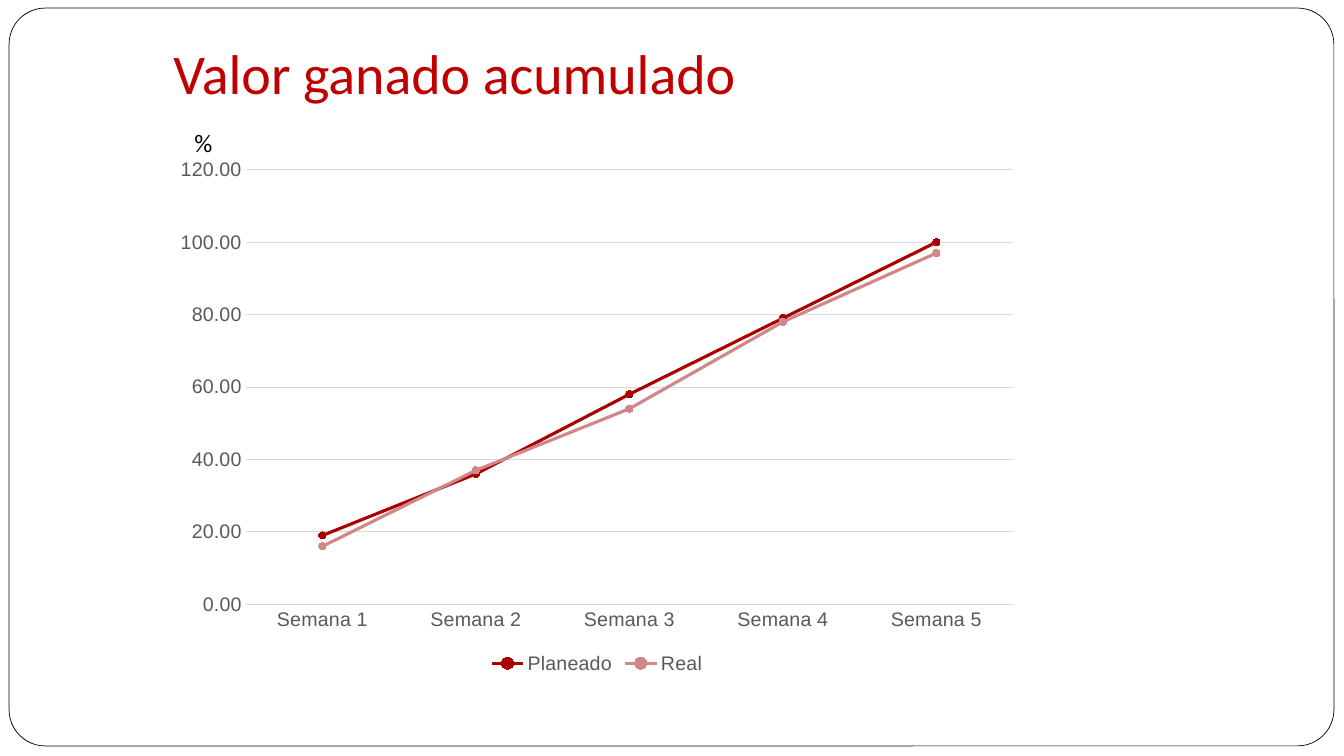
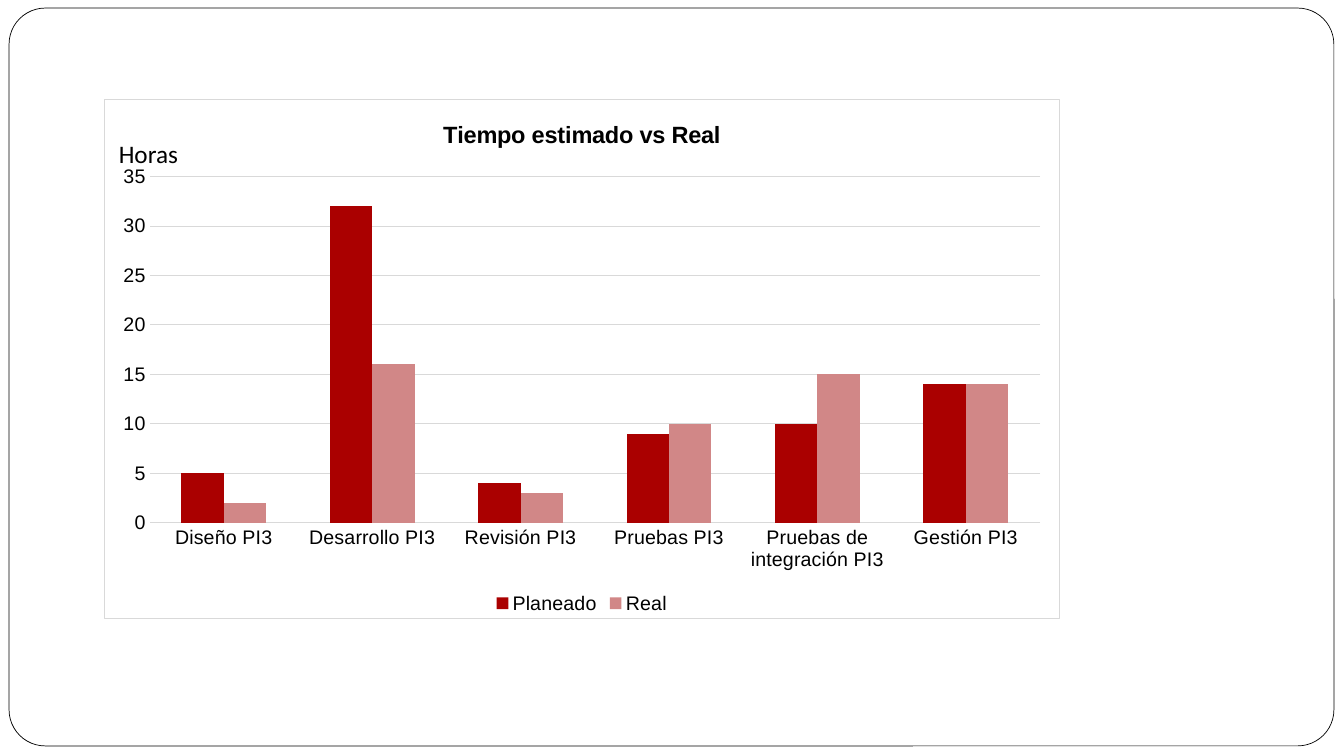
"""Build two slides comparing planned and real project figures."""
from lxml import etree
from pptx import Presentation
from pptx.chart.data import CategoryChartData
from pptx.dml.color import RGBColor
from pptx.enum.chart import XL_CHART_TYPE as ChartType, XL_LEGEND_POSITION as LegendPosition
from pptx.enum.chart import XL_MARKER_STYLE as MarkerStyle, XL_TICK_MARK as TickMark
from pptx.enum.shapes import MSO_SHAPE as Shape
from pptx.enum.text import MSO_ANCHOR as Anchor, MSO_AUTO_SIZE as AutoSize
from pptx.util import Inches, Pt

WIDTH, HEIGHT = 13.33, 7.5
BLACK, WHITE, GRAY, GRID, RED = "000000", "FFFFFF", "595959", "D9D9D9", "C00000"
SERIES_COLORS = {"Planeado": "AA0000", "Real": "D18787"}
CHART_SIZE = 14

SLIDES = [
    {
        "heading": "Valor ganado acumulado",
        "unit": ("%", (1.83, 1.21, 0.39, 0.4)),
        "type": ChartType.LINE_MARKERS,
        "box": (1.62, 1.47, 8.6, 5.26),
        "color": GRAY,
        "format": "0.00",
        "scale": (120, 20),
        "axis_line": GRID,
        "categories": [f"Semana {week}" for week in range(1, 6)],
        "series": {"Planeado": (19, 36, 58, 79, 100), "Real": (16, 37, 54, 78, 97)},
    },
    {
        "title": "Tiempo estimado vs Real",
        "unit": ("Horas", (1.08, 1.32, 0.79, 0.4)),
        "type": ChartType.COLUMN_CLUSTERED,
        "box": (1.03, 0.98, 9.48, 5.16),
        "color": BLACK,
        "format": "General",
        "scale": (35, 5),
        "border": GRID,
        "categories": ["Diseño PI3", "Desarrollo PI3", "Revisión PI3", "Pruebas PI3",
                       "Pruebas de integración PI3", "Gestión PI3"],
        "series": {"Planeado": (5, 32, 4, 9, 10, 14), "Real": (2, 16, 3, 10, 15, 14)},
    },
]


def rgb(color):
    return RGBColor.from_string(color)


def inches(box):
    return [Inches(length) for length in box]


def set_fill(fill, color):
    fill.solid()
    fill.fore_color.rgb = rgb(color)


def set_line(line, color, width=0.75):
    if color is None:
        line.fill.background()
    else:
        line.color.rgb = rgb(color)
        line.width = Pt(width)


def set_font(font, size, color, name="Arial", bold=False):
    font.size, font.name, font.bold = Pt(size), name, bold
    font.color.rgb = rgb(color)


def add_frame(slide):
    frame = slide.shapes.add_shape(
        Shape.ROUNDED_RECTANGLE, *inches((0.09, 0.08, WIDTH - 0.19, HEIGHT - 0.18)))
    frame.adjustments[0] = 0.049
    frame.shadow.inherit = False
    set_fill(frame.fill, WHITE)
    set_line(frame.line, BLACK, 0.5)


def add_text(slide, text, box, size, color):
    text_frame = slide.shapes.add_textbox(*inches(box)).text_frame
    paragraph = text_frame.paragraphs[0]
    paragraph.text = text
    set_font(paragraph.font, size, color, "Calibri")
    return text_frame


def add_heading(slide, text):
    text_frame = add_text(slide, text, (1.62, 0.11, 10.92, 1.04), 40, RED)
    text_frame.word_wrap = True
    text_frame.vertical_anchor = Anchor.BOTTOM
    text_frame.margin_bottom = Inches(0.1)


def add_unit(slide, text, box):
    text_frame = add_text(slide, text, box, 18, BLACK)
    text_frame.word_wrap = False
    text_frame.auto_size = AutoSize.SHAPE_TO_FIT_TEXT


def style_axis(axis, color, line_color=None):
    axis.major_tick_mark = axis.minor_tick_mark = TickMark.NONE
    set_font(axis.tick_labels.font, CHART_SIZE, color)
    set_line(axis.format.line, line_color)


def style_series(series, is_line):
    color = SERIES_COLORS[series.name]
    if not is_line:
        set_fill(series.format.fill, color)
        return
    series.smooth = False
    set_line(series.format.line, color, 2.25)
    series.marker.style, series.marker.size = MarkerStyle.CIRCLE, 5
    set_fill(series.marker.format.fill, color)
    set_line(series.marker.format.line, color)


def add_chart_border(chart, color):
    properties = etree.fromstring(
        '<c:spPr xmlns:c="http://schemas.openxmlformats.org/drawingml/2006/chart"'
        ' xmlns:a="http://schemas.openxmlformats.org/drawingml/2006/main">'
        f'<a:solidFill><a:srgbClr val="{WHITE}"/></a:solidFill>'
        f'<a:ln w="{Pt(0.75)}"><a:solidFill><a:srgbClr val="{color}"/></a:solidFill></a:ln>'
        '</c:spPr>')
    chart.element.find("{*}chart").addnext(properties)


def add_chart(slide, content):
    data = CategoryChartData(number_format=content["format"])
    data.categories = content["categories"]
    for name, values in content["series"].items():
        data.add_series(name, values)
    chart = slide.shapes.add_chart(content["type"], *inches(content["box"]), data).chart
    set_font(chart.font, CHART_SIZE, BLACK)

    chart.has_title = "title" in content
    if chart.has_title:
        paragraph = chart.chart_title.text_frame.paragraphs[0]
        paragraph.text = content["title"]
        set_font(paragraph.font, 16.8, BLACK, bold=True)
    chart.has_legend = True
    chart.legend.position = LegendPosition.BOTTOM
    chart.legend.include_in_layout = False
    set_font(chart.legend.font, CHART_SIZE, content["color"])

    style_axis(chart.category_axis, content["color"], content.get("axis_line"))
    value_axis = chart.value_axis
    style_axis(value_axis, content["color"])
    value_axis.minimum_scale = 0
    value_axis.maximum_scale, value_axis.major_unit = content["scale"]
    value_axis.tick_labels.number_format = content["format"]
    value_axis.tick_labels.number_format_is_linked = False
    set_line(value_axis.major_gridlines.format.line, GRID)

    plot = chart.plots[0]
    plot.vary_by_categories = False
    is_line = content["type"] == ChartType.LINE_MARKERS
    if not is_line:
        plot.gap_width, plot.overlap = 150, 0
    for series in plot.series:
        style_series(series, is_line)
    if "border" in content:
        add_chart_border(chart, content["border"])


def main():
    presentation = Presentation()
    presentation.slide_width, presentation.slide_height = inches((WIDTH, HEIGHT))
    for content in SLIDES:
        slide = presentation.slides.add_slide(presentation.slide_layouts[6])
        add_frame(slide)
        if "heading" in content:
            add_heading(slide, content["heading"])
        add_chart(slide, content)
        add_unit(slide, *content["unit"])
    presentation.save("out.pptx")


if __name__ == "__main__":
    main()
